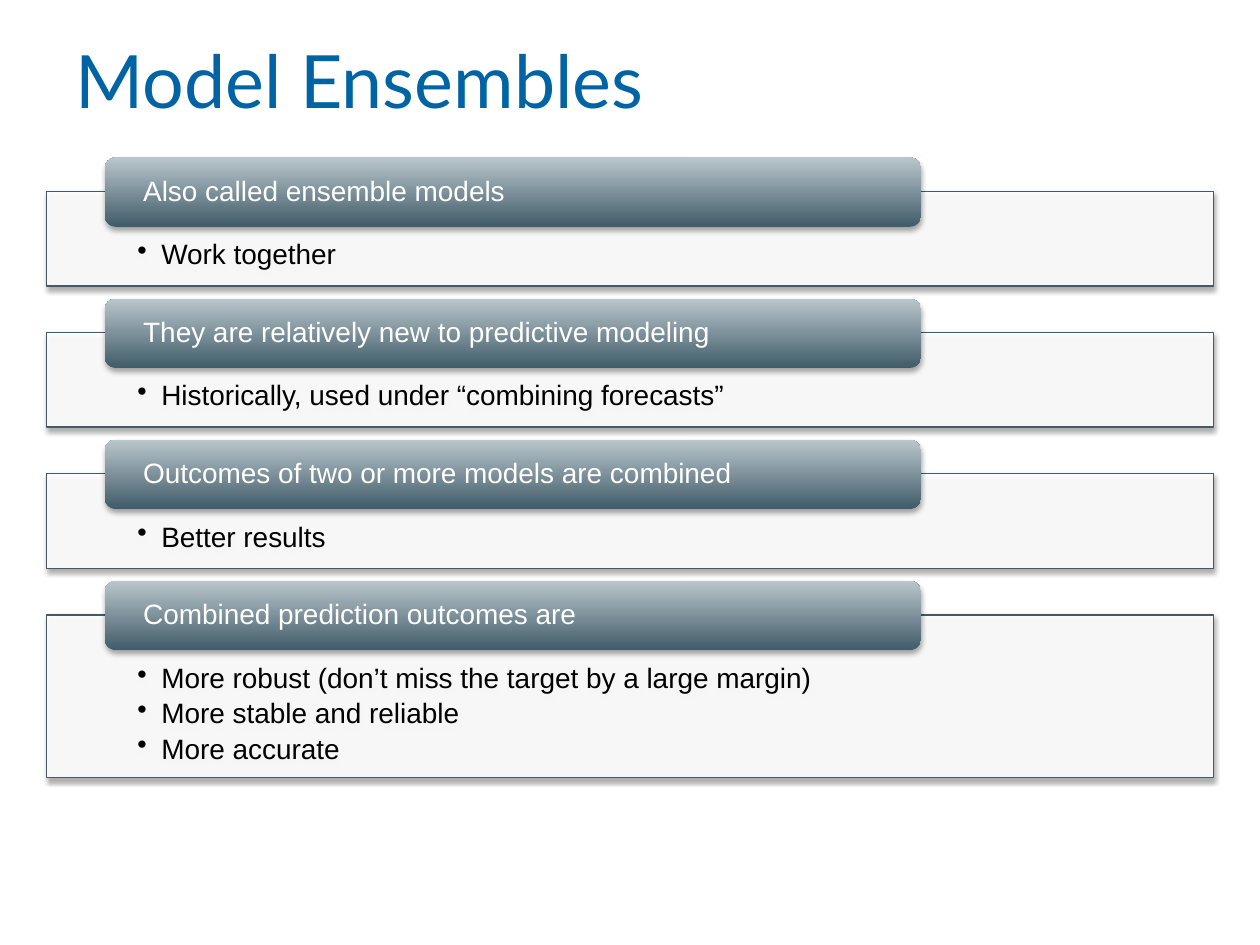
from pptx import Presentation
from pptx.dml.color import RGBColor
from pptx.enum.shapes import MSO_SHAPE as Shape
from pptx.enum.text import MSO_ANCHOR as Anchor, PP_ALIGN as Align
from pptx.oxml import parse_xml
from pptx.oxml.ns import nsdecls, qn
from pptx.util import Inches, Pt

SHADOW = (
    '<a:outerShdw {} blurRad="39370" dist="22860" dir="5400000" rotWithShape="0">'
    '<a:srgbClr val="000000"><a:alpha val="35000"/></a:srgbClr></a:outerShdw>'
)
BULLET = (
    '<a:buClr {}><a:srgbClr val="000000"/></a:buClr>',
    '<a:buChar {} char="•"/>',
)


def color(text):
    return RGBColor.from_string(text)


def make(xml):
    return parse_xml(xml.format(nsdecls("a")))


class Deck:
    blue, slate, pale, dark = "0064A4", "455A64", "BAC6CC", "405C69"
    black, white = "000000", "FFFFFF"
    head_font, body_font = "Lato", "Arial"
    head_size, body_size = 42, 16

    def __init__(self):
        self.prs = Presentation()
        self.prs.slide_width, self.prs.slide_height = Inches(10), Inches(7.5)
        self.slide = self.prs.slides.add_slide(self.prs.slide_layouts[5])

    def style(self, para, font, size, hue):
        para.alignment = Align.LEFT
        para.line_spacing = 0.9
        for run in para.runs:
            run.font.name = font
            run.font.size = Pt(size)
            run.font.color.rgb = color(hue)

    def title(self, text, *box):
        shape = self.slide.shapes.title
        shape.left, shape.top, shape.width, shape.height = map(Inches, box)
        frame = shape.text_frame
        frame.text = text
        frame.vertical_anchor = Anchor.MIDDLE
        self.style(frame.paragraphs[0], self.head_font, self.head_size, self.blue)

    def block(self, kind, lines, box, insets, anchor, hue):
        """Add a shadowed shape that holds one paragraph per line."""
        shape = self.slide.shapes.add_shape(kind, *map(Inches, box))
        shape.shadow.inherit = False
        shape._element.spPr.find(qn("a:effectLst")).append(make(SHADOW))
        frame = shape.text_frame
        frame.word_wrap = True
        frame.vertical_anchor = anchor
        (frame.margin_left, frame.margin_top,
         frame.margin_right, frame.margin_bottom) = map(Inches, insets)
        frame.text = "\n".join(lines)
        for para in frame.paragraphs:
            self.style(para, self.body_font, self.body_size, hue)
        return shape

    def panel(self, lines, *box):
        shape = self.block(Shape.RECTANGLE, lines, box, (0.72, 0.39, 0.72, 0.12),
                           Anchor.TOP, self.black)
        shape.fill.solid()
        shape.fill.fore_color.rgb = color(self.white)
        fill = shape._element.spPr.find(qn("a:solidFill"))
        fill[0].append(make('<a:alpha {} val="90000"/>'))
        shape.line.color.rgb = color(self.slate)
        shape.line.width = Pt(0.75)
        for para in shape.text_frame.paragraphs:
            props = para._p.get_or_add_pPr()
            props.set("marL", str(Inches(0.19)))
            props.set("indent", str(-Inches(0.19)))
            for xml in BULLET:
                props.append(make(xml))
            para.level = 1
            para.space_after = Pt(3)

    def header(self, text, *box):
        shape = self.block(Shape.ROUNDED_RECTANGLE, [text], box, (0.28, 0, 0.28, 0),
                           Anchor.MIDDLE, self.white)
        shape.fill.gradient()
        shape.fill.gradient_angle = 90
        for stop, hue in zip(shape.fill.gradient_stops, (self.dark, self.pale)):
            stop.color.rgb = color(hue)
        shape.line.fill.background()


def main():
    deck = Deck()
    deck.title("Model Ensembles", 0.5, 0.19, 9.03, 0.97)

    # Each header overlaps the top edge of its panel
    groups = [
        ("Also called ensemble models", ["Work together"]),
        ("They are relatively new to predictive modeling",
         ["Historically, used under “combining forecasts”"]),
        ("Outcomes of two or more models are combined", ["Better results"]),
        ("Combined prediction outcomes are",
         ["More robust (don’t miss the target by a large margin)",
          "More stable and reliable", "More accurate"]),
    ]
    top, lift, gap = 1.52, 0.27, 0.37
    for head, lines in groups:
        tall = 0.75 + 0.27 * (len(lines) - 1)
        deck.panel(lines, 0.37, top, 9.26, tall)
        deck.header(head, 0.83, top - lift, 6.48, 0.55)
        top += tall + gap

    deck.prs.save("out.pptx")


if __name__ == "__main__":
    main()
